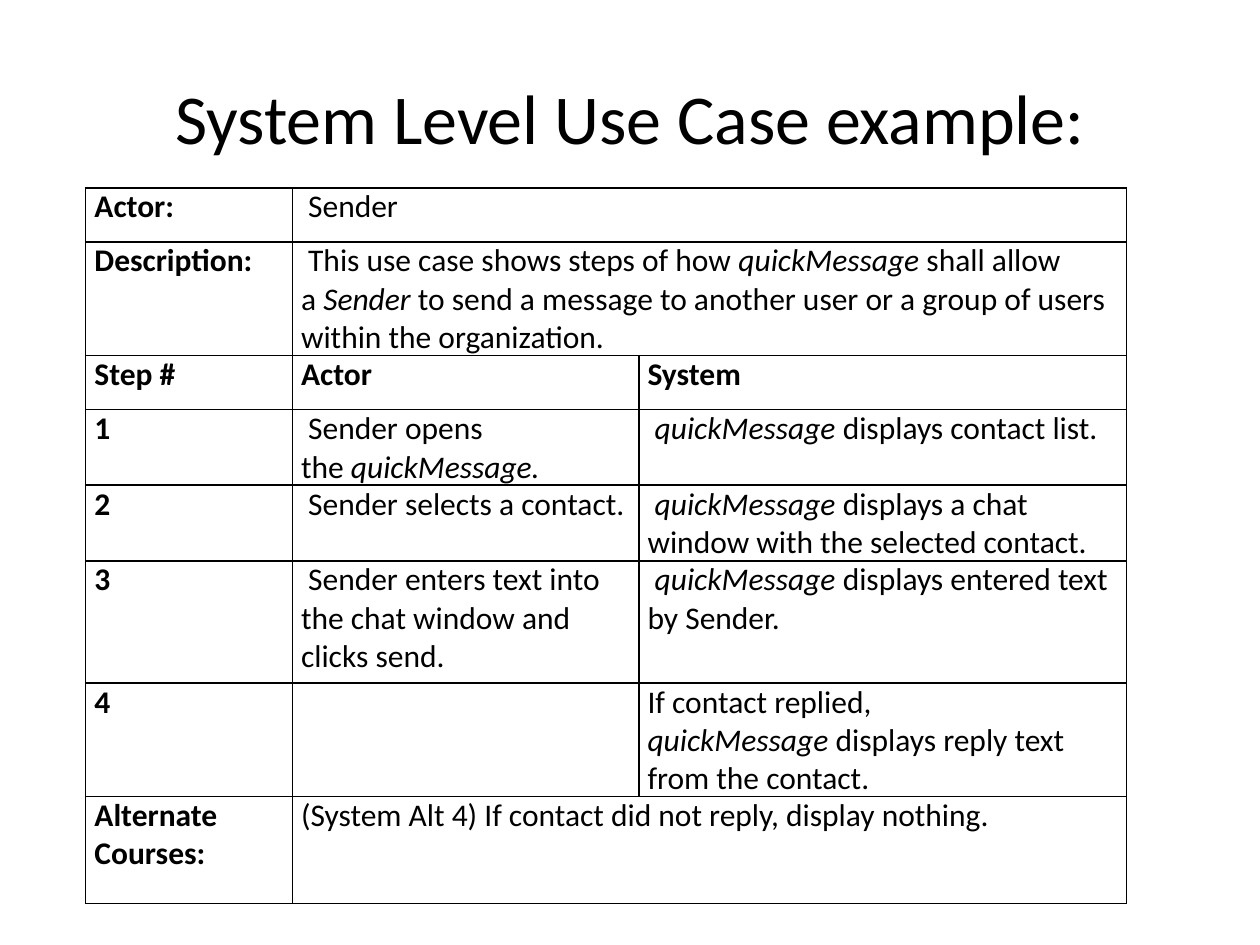
from lxml.etree import SubElement
from pptx import Presentation
from pptx.dml.color import RGBColor as RGB
from pptx.enum.text import MSO_ANCHOR as ANCHOR, PP_ALIGN as ALIGN
from pptx.oxml.ns import qn
from pptx.util import Inches, Pt

COLORS = {"ink": "000000", "border": "000000"}
NBSP = chr(160)
COL_WIDTHS = [1.64, 2.75, 3.87]
ROW_HEIGHTS = [0.43, 0.85, 0.43, 0.57, 0.58, 0.97, 0.85, 0.85]
HEADER_ROW = 2

# *...* is italic, ~ is a no-break space; a row of two cells spans the last columns.
USE_CASE = [
    ["Actor:", " Sender"],
    ["Description:", "~This use case shows steps of how *quickMessage*~shall allow a~*Sender*"
                     "~to send a message to another user or a group of users within the organization."],
    ["Step #", "Actor", "System"],
    ["1", " Sender opens the~*quickMessage.*", "~*quickMessage*~displays contact list."],
    ["2", "~Sender selects a contact.",
     " *quickMessage*~displays a chat window with the selected contact."],
    ["3", " Sender enters text into the chat window and clicks send.",
     "~*quickMessage*~displays entered text by Sender."],
    ["4", "", "If contact replied, *quickMessage*~displays reply text from the contact."],
    ["Alternate Courses:", "(System Alt 4) If contact did not reply, display nothing."],
]


class SlideBuilder:
    font = "Calibri"
    title_size = 40
    cell_size = 18
    cell_margins = {"margin_left": Inches(0.07), "margin_right": Inches(0.07),
                    "margin_top": 0, "margin_bottom": 0}

    def __init__(self, prs):
        self.slide = prs.slides.add_slide(prs.slide_layouts[6])

    def add_text(self, p, text, size, bold=False):
        """Fill a paragraph, turning *...* into italic runs and ~ into no-break spaces."""
        p.font.size = Pt(size)
        for i, part in enumerate(text.replace("~", NBSP).split("*")):
            if not part:
                continue
            r = p.add_run()
            r.text = part
            style = {"name": self.font, "size": Pt(size), "bold": bold, "italic": i % 2 == 1}
            for name, value in style.items():
                setattr(r.font, name, value)
            r.font.color.rgb = RGB.from_string(COLORS["ink"])

    def title(self, text, left, top, width, height):
        box = self.slide.shapes.add_textbox(*map(Inches, (left, top, width, height)))
        tf = box.text_frame
        tf.word_wrap = True
        tf.vertical_anchor = ANCHOR.MIDDLE
        p = tf.paragraphs[0]
        p.alignment = ALIGN.CENTER
        self.add_text(p, text, self.title_size)

    def border(self, cell, width=1):
        tc_pr = cell._tc.get_or_add_tcPr()
        for side in ("a:lnL", "a:lnR", "a:lnT", "a:lnB"):
            ln = SubElement(tc_pr, qn(side), w=str(Pt(width)))
            fill = SubElement(ln, qn("a:solidFill"))
            SubElement(fill, qn("a:srgbClr"), val=COLORS["border"])

    def table(self, rows, left, top, col_widths, row_heights):
        frame = self.slide.shapes.add_table(
            len(rows), len(col_widths), Inches(left), Inches(top),
            Inches(sum(col_widths)), Inches(sum(row_heights)))
        table = frame.table
        table.first_row = table.horz_banding = False
        for column, width in zip(table.columns, col_widths):
            column.width = Inches(width)
        for row, height in zip(table.rows, row_heights):
            row.height = Inches(height)
        for cell in table.iter_cells():
            self.border(cell)
            cell.fill.background()
            for name, value in self.cell_margins.items():
                setattr(cell, name, value)
        for i, texts in enumerate(rows):
            if len(texts) < len(col_widths):
                table.cell(i, len(texts) - 1).merge(table.cell(i, len(col_widths) - 1))
            for j, text in enumerate(texts):
                p = table.cell(i, j).text_frame.paragraphs[0]
                self.add_text(p, text, self.cell_size, bold=j == 0 or i == HEADER_ROW)


def main():
    prs = Presentation()
    prs.slide_width, prs.slide_height = Inches(10), Inches(7.5)
    s = SlideBuilder(prs)
    s.title("System Level Use Case example:", 0.5, 0.3, 9, 1.25)
    s.table(USE_CASE, 0.68, 1.49, COL_WIDTHS, ROW_HEIGHTS)
    prs.save("out.pptx")


if __name__ == "__main__":
    main()
